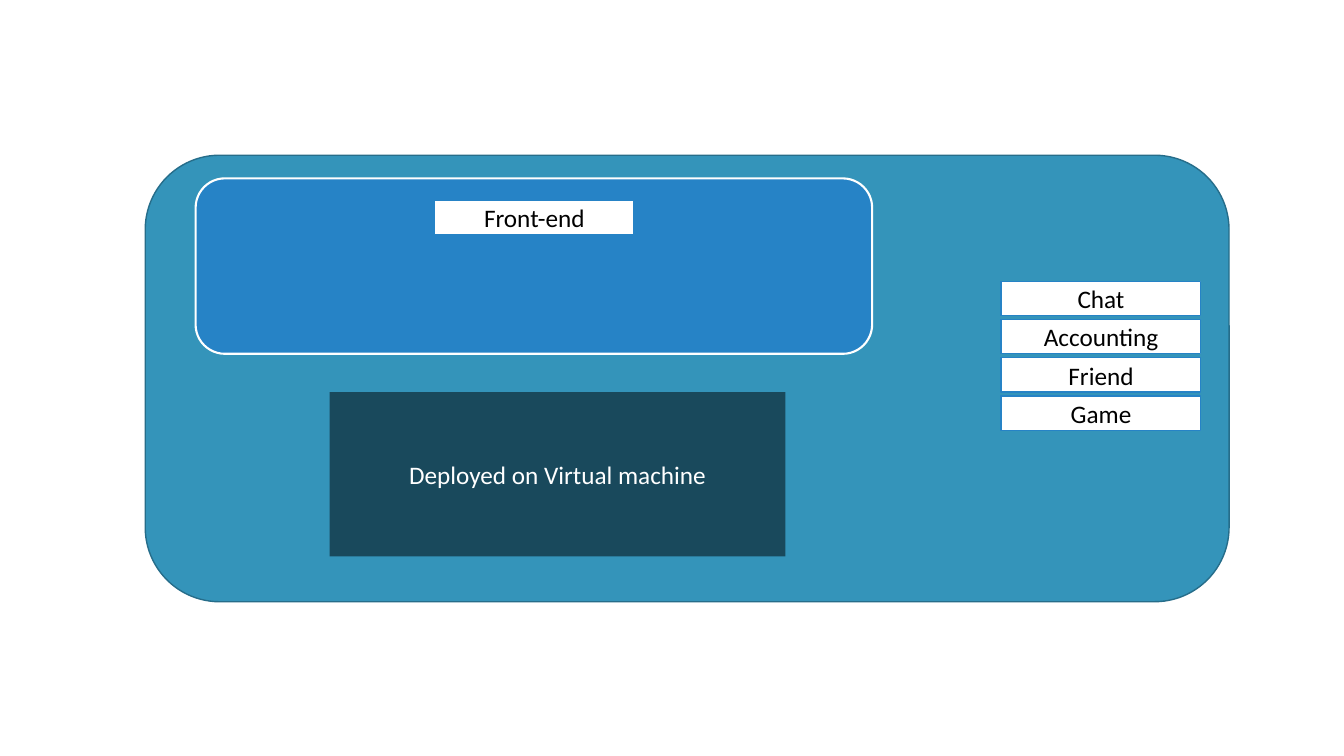
from lxml import etree
from pptx import Presentation
from pptx.dml.color import RGBColor
from pptx.enum.shapes import MSO_SHAPE
from pptx.enum.text import MSO_ANCHOR, PP_ALIGN
from pptx.oxml.ns import qn
from pptx.util import Pt

EMU_PER_PX = 9144
RECT = MSO_SHAPE.RECTANGLE
ROUNDED = MSO_SHAPE.ROUNDED_RECTANGLE
MIDDLE = MSO_ANCHOR.MIDDLE
CENTER = PP_ALIGN.CENTER

WHITE = "FFFFFF"
BLACK = "000000"
TEAL = "3494BA"
DARK_TEAL = "266D8A"
BLUE = "2683C6"
LABEL_WIDTH, LABEL_HEIGHT = 198, 34
SERVICES = ("Chat", "Accounting", "Friend", "Game")
SERVICES_LEFT, SERVICES_TOP, SERVICE_STEP = 993, 279, 38


def px(length):
    """Convert whole pixels to EMU."""
    return length * EMU_PER_PX


def color(hex_code):
    """Return the colour for a hex string."""
    return RGBColor.from_string(hex_code)


def add_panel(slide, preset, box, fill, line=None, line_width=1):
    """Add a filled shape, outlined when a line colour is given."""
    panel = slide.shapes.add_shape(preset, *map(px, box))
    panel.shadow.inherit = False
    panel.fill.solid()
    panel.fill.fore_color.rgb = color(fill)
    if line:
        panel.line.color.rgb = color(line)
        panel.line.width = Pt(line_width)
    else:
        panel.line.fill.background()
    return panel


def write_caption(panel, caption, text_color):
    """Write one centred line of text inside a panel."""
    frame = panel.text_frame
    frame.word_wrap = True
    frame.vertical_anchor = MIDDLE
    paragraph = frame.paragraphs[0]
    paragraph.alignment = CENTER
    run = paragraph.add_run()
    run.text = caption
    run.font.name = "Calibri"
    run.font.size = Pt(18)
    run.font.color.rgb = color(text_color)


def add_label(slide, left, top, caption):
    """Add a white label box with black text."""
    box = (left, top, LABEL_WIDTH, LABEL_HEIGHT)
    label = add_panel(slide, RECT, box, WHITE, BLUE)
    write_caption(label, caption, BLACK)


def set_opacity(panel, percent):
    """Make a solid fill partly transparent."""
    fill_color = panel.fill._xPr.find(qn("a:solidFill"))[0]
    etree.SubElement(fill_color, qn("a:alpha"), val=str(percent * 1000))


def main():
    """Build the deployment slide and save it."""
    deck = Presentation()
    deck.slide_width, deck.slide_height = px(1333), px(750)
    slide = deck.slides.add_slide(deck.slide_layouts[6])

    add_panel(slide, ROUNDED, (144, 154, 1075, 443), TEAL, DARK_TEAL)
    add_panel(slide, ROUNDED, (194, 177, 671, 174), BLUE, WHITE, 1.5)
    add_label(slide, 431, 199, "Front-end")
    for index, service in enumerate(SERVICES):
        top = SERVICES_TOP + index * SERVICE_STEP
        add_label(slide, SERVICES_LEFT, top, service)

    deployment = add_panel(slide, RECT, (327, 389, 452, 163), BLACK)
    set_opacity(deployment, 50)
    write_caption(deployment, "Deployed on Virtual machine", WHITE)

    deck.save("out.pptx")


if __name__ == "__main__":
    main()
